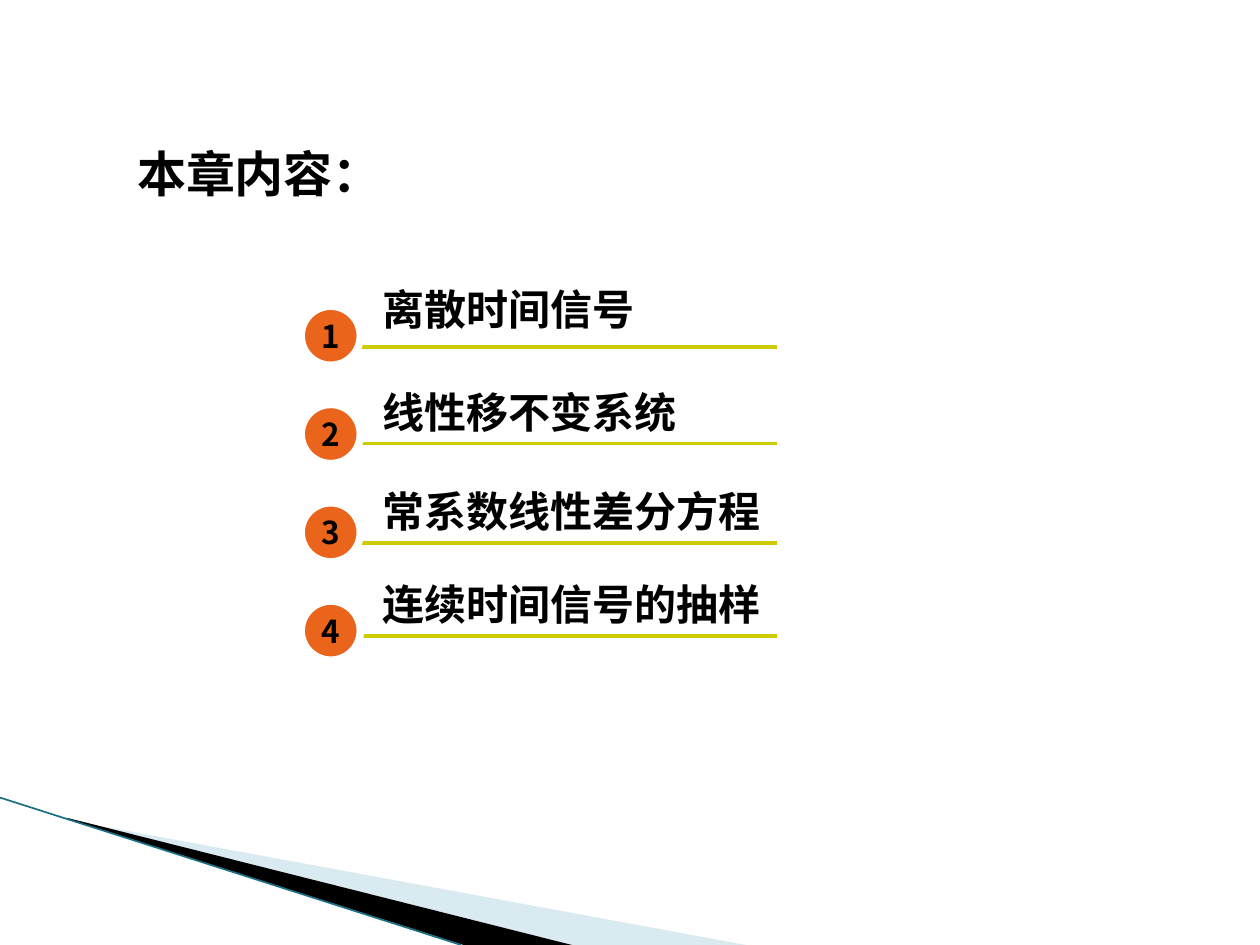
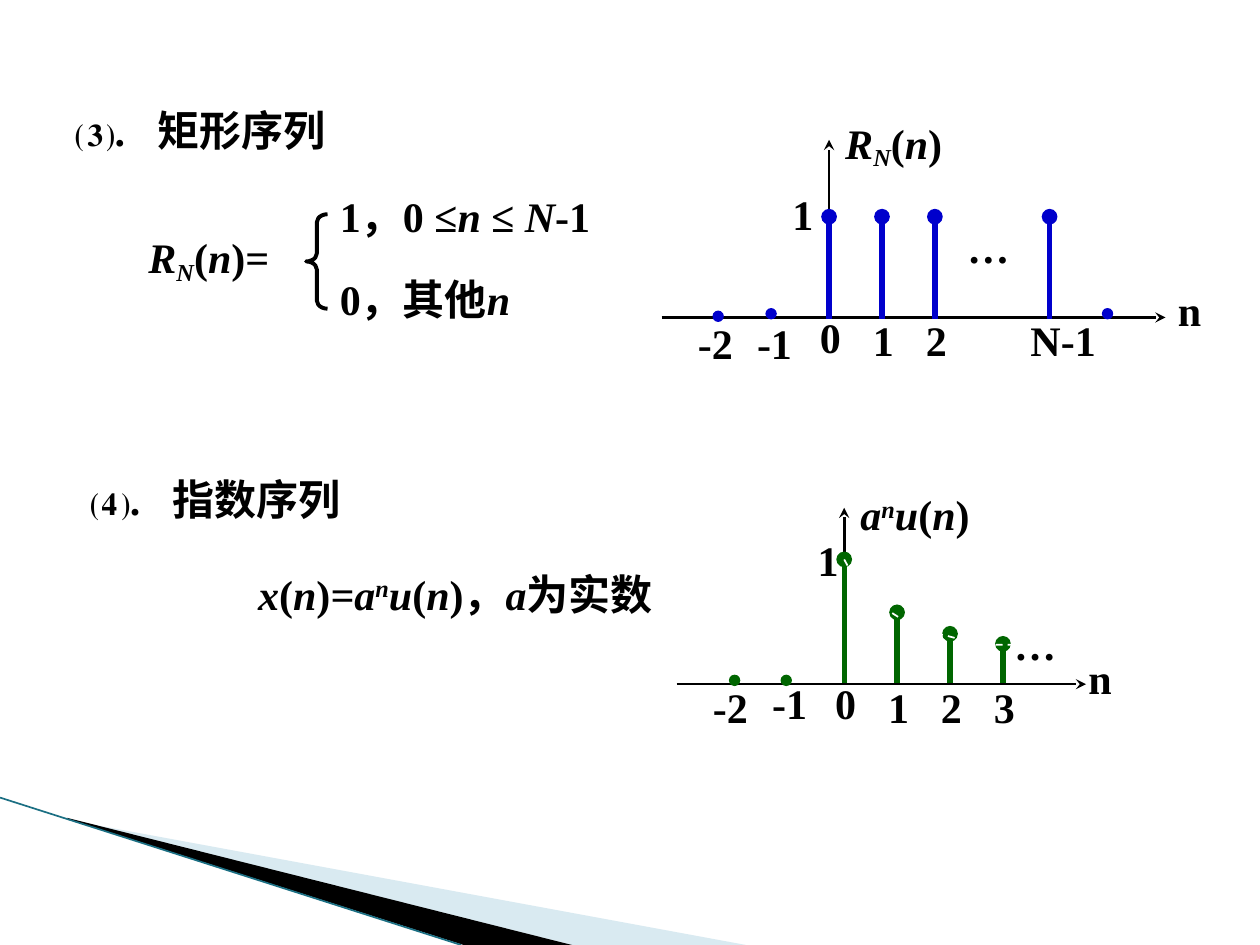
from dataclasses import dataclass

from lxml import etree
from pptx import Presentation
from pptx.dml.color import RGBColor
from pptx.enum.dml import MSO_LINE
from pptx.enum.shapes import MSO_CONNECTOR, MSO_SHAPE
from pptx.enum.text import MSO_ANCHOR, PP_ALIGN
from pptx.oxml.ns import qn
from pptx.util import Inches, Pt

STRAIGHT = MSO_CONNECTOR.STRAIGHT
OVAL, BRACE = MSO_SHAPE.OVAL, MSO_SHAPE.LEFT_BRACE
LEFT, CENTER = PP_ALIGN.LEFT, PP_ALIGN.CENTER
TOP, MIDDLE = MSO_ANCHOR.TOP, MSO_ANCHOR.MIDDLE
DASH = MSO_LINE.DASH

SLIDE_WIDTH, SLIDE_HEIGHT = Inches(10), Inches(7.5)
COLUMNS, ROWS = 100, 75


@dataclass(frozen=True)
class Theme:
    black: str = "000000"
    white: str = "FFFFFF"
    pale_band: str = "A0CBDC"
    band_edge: str = "1B6F83"
    rule: str = "CCCC00"
    badge: str = "EB641B"
    blue: str = "0000CC"
    green: str = "006600"
    sans: str = "Noto Sans CJK SC"
    serif: str = "Times New Roman"
    title_size: int = 28
    body_size: int = 24
    badge_size: int = 18


THEME = Theme()


@dataclass(frozen=True)
class Box:
    left: float
    top: float
    width: float
    height: float

    def inner(self, left, top, width, height):
        return Box(self.left + left, self.top + top, width, height)

    def emu(self):
        return (across(self.left), down(self.top),
                across(self.width), down(self.height))


@dataclass(frozen=True)
class StemPlot:
    color: str
    title: list
    title_spot: tuple
    name_spot: tuple
    unit_spot: tuple
    ellipsis_spot: tuple
    stems: list
    stem_foot: float
    zeros: list
    ticks: list


PLOT_ORIGIN, STEP = 13.3, 4.2
DOT = 0.8
R_N = [("R", "i"), ("N", "i sub"), "(", ("n", "i"), ")"]
A_N_U = [("a", "i"), ("n", "i sup"), ("u", "i"), "(", ("n", "i"), ")"]

RECTANGULAR = StemPlot(
    color=THEME.blue, title=R_N, title_spot=(0.3, -16.4, 10.2),
    name_spot=(0, -3.1), unit_spot=(-3.9, -10.7), ellipsis_spot=(10, -8.1),
    stems=[(0, 8), (STEP, 8), (2 * STEP, 8), (17.5, 8)], stem_foot=0.1,
    zeros=[(-8.8, -0.1), (-4.6, -0.3), (22.1, -0.3)],
    ticks=[("-2", -9, -0.5, 4.8), ("-1", -4.3, -0.5, 4.8),
           ("0", 0.15, -1, 3.7), ("1", 4.35, -0.7, 3.7),
           ("2", 8.55, -0.7, 3.7), ("N-1", 18.6, -0.7, 7.2)])

EXPONENTIAL = StemPlot(
    color=THEME.green, title=A_N_U, title_spot=(0.3, -16, 10.9),
    name_spot=(-0.8, -3), unit_spot=(-3.1, -12.4), ellipsis_spot=(12.5, -5.7),
    stems=list(zip((0, STEP, 2 * STEP, 3 * STEP), (9.9, 5.7, 4, 3.2))),
    stem_foot=-0.1,
    zeros=[(-8.7, -0.3), (-4.6, -0.3)],
    ticks=[("-2", -9, -0.7, 4.8), ("-1", -4.3, -1, 4.8),
           ("0", 0.15, -1, 3.7), ("1", 4.35, -0.7, 3.7),
           ("2", 8.55, -0.7, 3.7), ("3", 12.75, -0.7, 3.7)])

ENVELOPE = [(0, -9.9), (0.5, -9), (0.9, -8.2), (1.7, -7.4),
            (2.5, -6.5), (4.1, -5.4), (5, -4.9),
            (6, -4.3), (6.6, -4.3), (7.5, -4),
            (8.5, -3.8), (9.8, -3.3), (10.9, -3.2),
            (12, -3.1), (13.1, -3.1), (14.2, -3.2)]


def across(columns):
    return round(SLIDE_WIDTH * columns / COLUMNS)


def down(rows):
    return round(SLIDE_HEIGHT * rows / ROWS)


def rgb(color):
    return RGBColor.from_string(color)


def write_text(shape, runs, font=THEME.serif, size=THEME.body_size,
               align=LEFT, anchor=TOP, wrap=False, tab=None):
    frame = shape.text_frame
    frame.word_wrap = wrap
    frame.vertical_anchor = anchor
    paragraph = frame.paragraphs[0]
    paragraph.alignment = align
    if tab:
        stops = etree.SubElement(paragraph._p.get_or_add_pPr(), qn("a:tabLst"))
        etree.SubElement(stops, qn("a:tab"), pos=str(across(tab)), algn="l")
    for item in runs:
        text, style = (item, "") if isinstance(item, str) else item
        run = paragraph.add_run()
        run.text = text
        run.font.name = font
        run.font.size = Pt(size)
        run.font.bold = True
        run.font.italic = "i" in style.split()
        run.font.color.rgb = rgb(THEME.black)
        properties = run._r.get_or_add_rPr()
        etree.SubElement(properties, qn("a:ea"), typeface=THEME.sans)
        if "sub" in style:
            properties.set("baseline", "-18000")
        if "sup" in style:
            properties.set("baseline", "30000")


def add_text(slide, box, runs, **text_format):
    shape = slide.shapes.add_textbox(*box.emu())
    write_text(shape, runs, **text_format)


def paint(shape, fill=None, line=None, width=0.75, alpha=None):
    shape.shadow.inherit = False
    if fill:
        shape.fill.solid()
        shape.fill.fore_color.rgb = rgb(fill)
        if alpha:
            color = shape._element.spPr.find(".//" + qn("a:srgbClr"))
            etree.SubElement(color, qn("a:alpha"), val=str(alpha * 1000))
    else:
        shape.fill.background()
    if line:
        shape.line.color.rgb = rgb(line)
        shape.line.width = Pt(width)
    else:
        shape.line.fill.background()


def add_shape(slide, kind, box, **look):
    shape = slide.shapes.add_shape(kind, *box.emu())
    paint(shape, **look)
    return shape


def add_outline(slide, points, close=True, **look):
    corners = [(across(x), down(y)) for x, y in points]
    builder = slide.shapes.build_freeform(*corners[0], scale=1.0)
    builder.add_line_segments(corners[1:], close=close)
    shape = builder.convert_to_shape()
    paint(shape, **look)
    return shape


def add_line(slide, start, end, color, width, head=None):
    connector = slide.shapes.add_connector(
        STRAIGHT, across(start[0]), down(start[1]), across(end[0]), down(end[1]))
    connector.line.color.rgb = rgb(color)
    connector.line.width = Pt(width)
    if head:
        etree.SubElement(connector.line._get_or_add_ln(), qn("a:tailEnd"), type=head)
    etree.SubElement(connector._element.spPr, qn("a:effectLst"))


def bezier_points(controls, samples=6):
    points = [controls[0]]
    for first in range(0, len(controls) - 1, 3):
        a, b, c, d = controls[first:first + 4]
        for index in range(1, samples + 1):
            t = index / samples
            u = 1 - t
            points.append(tuple(
                u**3 * a[k] + 3 * u**2 * t * b[k] + 3 * u * t**2 * c[k] + t**3 * d[k]
                for k in (0, 1)))
    return points


def draw_corner_bands(slide):
    add_outline(slide, [(5.5, 65.1), (59.2, 75), (45.4, 75), (5.5, 65)],
                fill=THEME.pale_band, alpha=40)
    add_outline(slide, [(5.3, 64.9), (45.4, 75), (36.8, 75), (5.4, 65)],
                fill=THEME.black)
    add_line(slide, (0, 63.3), (36.6, 75), THEME.band_edge, 0.95)


def draw_agenda(slide, box, entries):
    for _, rule_top, _, _ in entries:
        y = box.top + rule_top
        add_line(slide, (box.left + 2.4, y), (box.left + box.width, y),
                 THEME.rule, 2.25)
    pitch = box.height / len(entries)
    for index, (label, _, label_top, width) in enumerate(entries):
        badge = add_shape(slide, OVAL, box.inner(0, 2.3 + index * pitch, 4.7, 4.7),
                          fill=THEME.badge, line=THEME.white, width=4.33)
        write_text(badge, [str(index + 1)], font=THEME.sans, size=THEME.badge_size,
                   align=CENTER, anchor=MIDDLE)
        add_text(slide, box.inner(5.5, label_top, width, 5.1), [label], font=THEME.sans)


def draw_heading(slide, box, number, name):
    add_text(slide, box, [f"{number}.\t{name}"], wrap=True, tab=6.5)


def draw_definition(slide, box):
    add_text(slide, box.inner(0, 3.3, 12.1, 5.1), R_N + ["="])
    brace = add_shape(slide, BRACE, box.inner(13.5, 2.4, 1.7, 7.5),
                      line=THEME.black, width=2.25)
    brace.adjustments[0] = 0.375
    cases = [["1，0 ≤", ("n ", "i"), "≤ ", ("N", "i"), "-1"],
             ["0，其他", ("n", "i")]]
    for index, case in enumerate(cases):
        add_text(slide, box.inner(15.2, index * 6.6, 26.4, 5.1), case, wrap=True)


def draw_stem_plot(slide, box, plot):
    zero = box.inner(PLOT_ORIGIN, box.height, 0, 0)
    x, y = zero.left, zero.top
    add_line(slide, (box.left, y), (box.left + box.width, y),
             THEME.black, 1.5, "stealth")
    add_line(slide, (x, y), (x, box.top), THEME.black, 1.5, "stealth")
    name_left, name_top = plot.name_spot
    add_text(slide, box.inner(box.width + name_left, box.height + name_top, 3.9, 5), ["n"])
    add_text(slide, zero.inner(*plot.title_spot, 5.1), plot.title)
    add_text(slide, zero.inner(*plot.unit_spot, 3.7, 5.1), ["1"])
    add_text(slide, zero.inner(*plot.ellipsis_spot, 5.4, 5.1), ["…"])
    for offset, height in plot.stems:
        add_line(slide, (x + offset, y + plot.stem_foot), (x + offset, y - height),
                 plot.color, 3, "oval")
    for offset, drop in plot.zeros:
        add_shape(slide, OVAL, zero.inner(offset - DOT / 2, drop - DOT / 2, DOT, DOT),
                  fill=plot.color, line=plot.color)
    for label, center, top, width in plot.ticks:
        add_text(slide, zero.inner(center - width / 2, top, width, 5), [label])


def draw_envelope(slide, box):
    zero = box.inner(PLOT_ORIGIN, box.height, 0, 0)
    points = [(zero.left + x, zero.top + y) for x, y in bezier_points(ENVELOPE)]
    curve = add_outline(slide, points, close=False, line=THEME.white, width=1)
    curve.line.dash_style = DASH


def build_contents_slide(slide):
    draw_corner_bands(slide)
    add_text(slide, Box(9.9, 10.9, 44.8, 5.6), ["本章内容："],
             font=THEME.sans, size=THEME.title_size, wrap=True)
    draw_agenda(slide, Box(23.9, 22, 37.8, 31.2), [
        ("离散时间信号", 5.55, 0, 22.2),
        ("线性移不变系统", 13.2, 8.2, 25.6),
        ("常系数线性差分方程", 21.1, 16, 32.3),
        ("连续时间信号的抽样", 28.5, 23.4, 32.3)])


def build_sequences_slide(slide):
    draw_corner_bands(slide)
    draw_heading(slide, Box(5, 7.8, 23.8, 5), "⑶", "矩形序列")
    draw_definition(slide, Box(10.8, 14.6, 41.6, 11.7))
    draw_stem_plot(slide, Box(52.5, 11.1, 40, 14.1), RECTANGULAR)
    draw_heading(slide, Box(6.2, 37.1, 26.9, 5), "⑷", "指数序列")
    formula = [("x", "i"), "(", ("n", "i"), ")", ("=", "i")] + A_N_U
    add_text(slide, Box(19.5, 44.6, 33.9, 5),
             formula + ["，", ("a", "i"), "为实数"], wrap=True)
    exponential_box = Box(53.7, 40.3, 32.5, 14)
    draw_stem_plot(slide, exponential_box, EXPONENTIAL)
    draw_envelope(slide, exponential_box)


def main():
    presentation = Presentation()
    presentation.slide_width, presentation.slide_height = SLIDE_WIDTH, SLIDE_HEIGHT
    for build in (build_contents_slide, build_sequences_slide):
        build(presentation.slides.add_slide(presentation.slide_layouts[6]))
    presentation.save("out.pptx")


if __name__ == "__main__":
    main()
